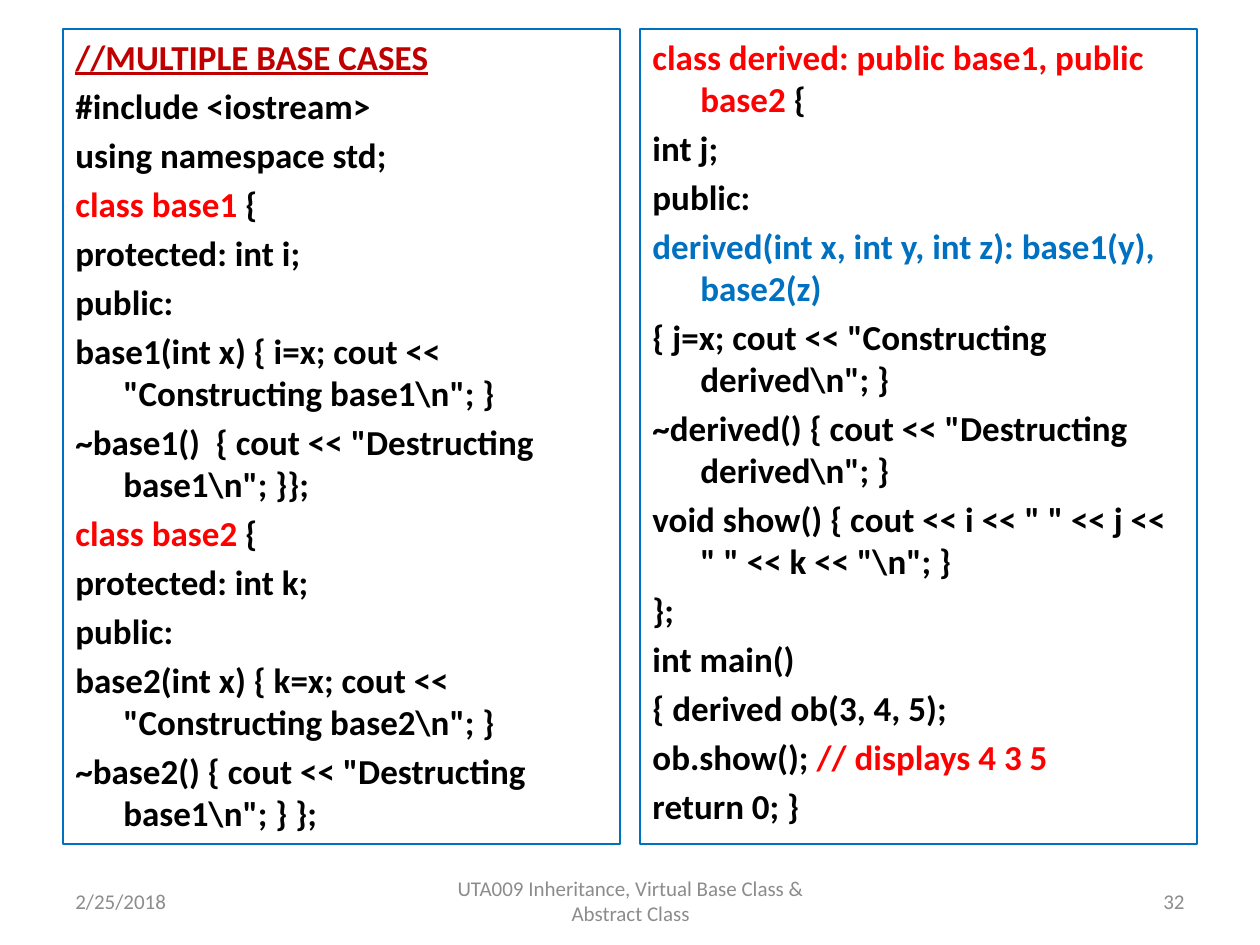
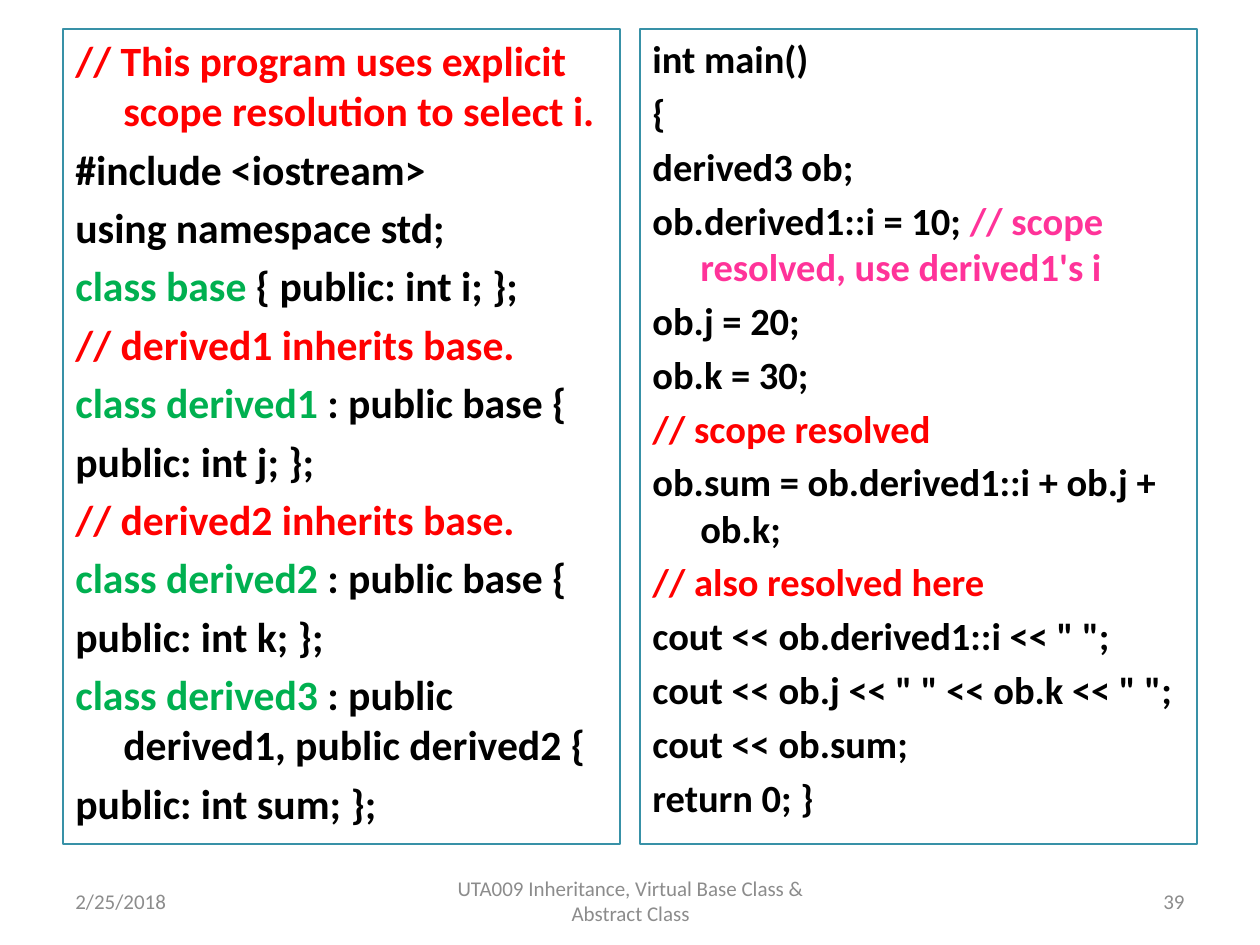
"""Build two slides of C++ inheritance code in paired panels."""
from pptx import Presentation
from pptx.dml.color import RGBColor
from pptx.enum.text import MSO_ANCHOR, PP_ALIGN
from pptx.util import Inches, Pt

COLORS = {
    "black": "000000", "red": "FF0000", "dark_red": "C00000", "blue": "0070C0",
    "green": "00B050", "pink": "FF3399", "teal": "3891A7", "gray": "8C8C8C",
}
FONT = "Calibri"
DATE = "2/25/2018"
FOOTER = "UTA009 Inheritance, Virtual Base Class & Abstract Class"

# Each line is a plain string or a list of (text, color) spans.
BASE_CLASSES = [
    [("//MULTIPLE BASE CASES", "dark_red")],
    "#include <iostream>",
    "using namespace std;",
    [("class base1 ", "red"), ("{", "black")],
    "protected: int i;",
    "public:",
    r'base1(int x) { i=x; cout << "Constructing base1\n"; }',
    r'~base1()  { cout << "Destructing base1\n"; }};',
    [("class base2 ", "red"), ("{", "black")],
    "protected: int k;",
    "public:",
    r'base2(int x) { k=x; cout << "Constructing base2\n"; }',
    r'~base2() { cout << "Destructing base1\n"; } };',
]
DERIVED_CLASS = [
    [("class derived: public base1, public base2 ", "red"), ("{", "black")],
    "int j;",
    "public:",
    [("derived(int x, int y, int z): base1(y), base2(z)", "blue")],
    r'{ j=x; cout << "Constructing derived\n"; }',
    r'~derived() { cout << "Destructing derived\n"; }',
    r'void show() { cout << i << " " << j << " " << k << "\n"; }',
    "};",
    "int main()",
    "{ derived ob(3, 4, 5);",
    [("ob.show(); ", "black"), ("// displays 4 3 5", "red")],
    "return 0; }",
]
SCOPE_CLASSES = [
    [("// This program uses explicit scope resolution to select i.", "red")],
    "#include <iostream>",
    "using namespace std;",
    [("class base ", "green"), ("{ public: int i; };", "black")],
    [("// derived1 inherits base.", "red")],
    [("class derived1 ", "green"), (": public base {", "black")],
    "public: int j; };",
    [("// derived2 inherits base.", "red")],
    [("class derived2 ", "green"), (": public base {", "black")],
    "public: int k; };",
    [("class derived3 ", "green"), (": public derived1, public derived2 {", "black")],
    "public: int sum; };",
]
SCOPE_MAIN = [
    "int main()",
    "{",
    "derived3 ob;",
    [("ob.derived1::i = 10; ", "black"), ("// scope resolved, use derived1's i", "pink")],
    "ob.j = 20;",
    "ob.k = 30;",
    [("// scope resolved", "red")],
    "ob.sum = ob.derived1::i + ob.j + ob.k;",
    [("// also resolved here", "red")],
    'cout << ob.derived1::i << " ";',
    'cout << ob.j << " " << ob.k << " ";',
    "cout << ob.sum;",
    "return 0; }",
]
SLIDES = [
    {"number": "32", "border": "blue", "panels": [(BASE_CLASSES, 20), (DERIVED_CLASS, 20)]},
    {"number": "39", "border": "teal", "panels": [(SCOPE_CLASSES, 23.8), (SCOPE_MAIN, 22)]},
]

MARGIN, PANEL_TOP, PANEL_WIDTH, PANEL_HEIGHT, PANEL_GAP = 0.5, 0.23, 4.42, 6.47, 0.16
FOOTER_TOP, FOOTER_HEIGHT = 6.95, 0.4
HANGING_INDENT = 0.38


def rgb(name):
    return RGBColor.from_string(COLORS[name])


def add_text(page, lines, left, top, width, height, *, size, color="black", bold=False,
             align=PP_ALIGN.LEFT, anchor=MSO_ANCHOR.TOP, hanging=0, space=0, border=None):
    box = page.shapes.add_textbox(Inches(left), Inches(top), Inches(width), Inches(height))
    if border:
        box.line.color.rgb = rgb(border)
        box.line.width = Pt(0.75)
    frame = box.text_frame
    frame.word_wrap = True
    frame.vertical_anchor = anchor
    for index, line in enumerate(lines):
        para = frame.paragraphs[0] if index == 0 else frame.add_paragraph()
        para.alignment = align
        if index:
            para.space_before = Pt(space)
        if hanging:
            properties = para._p.get_or_add_pPr()
            properties.set("marL", str(Inches(hanging)))
            properties.set("indent", str(-Inches(hanging)))
        for text, tint in [(line, color)] if isinstance(line, str) else line:
            span = para.add_run()
            span.text = text
            span.font.name = FONT
            span.font.size = Pt(size)
            span.font.bold = bold
            span.font.underline = tint == "dark_red"
            span.font.color.rgb = rgb(tint)
    return box


def add_footers(page, number):
    footers = [
        (DATE, MARGIN, 2.33, PP_ALIGN.LEFT),
        (FOOTER, 3.42, 3.17, PP_ALIGN.CENTER),
        (number, 7.17, 2.33, PP_ALIGN.RIGHT),
    ]
    for text, left, width, align in footers:
        add_text(page, [text], left, FOOTER_TOP, width, FOOTER_HEIGHT, size=12,
                 color="gray", align=align, anchor=MSO_ANCHOR.MIDDLE)


def main():
    deck = Presentation()
    deck.slide_width, deck.slide_height = Inches(10), Inches(7.5)
    blank_layout = deck.slide_layouts[6]
    for content in SLIDES:
        page = deck.slides.add_slide(blank_layout)
        for column, (lines, size) in enumerate(content["panels"]):
            left = MARGIN + column * (PANEL_WIDTH + PANEL_GAP)
            add_text(page, lines, left, PANEL_TOP, PANEL_WIDTH, PANEL_HEIGHT, size=size,
                     bold=True, hanging=HANGING_INDENT, space=round(size * 0.2, 1),
                     border=content["border"])
        add_footers(page, content["number"])
    deck.save("out.pptx")


if __name__ == "__main__":
    main()
